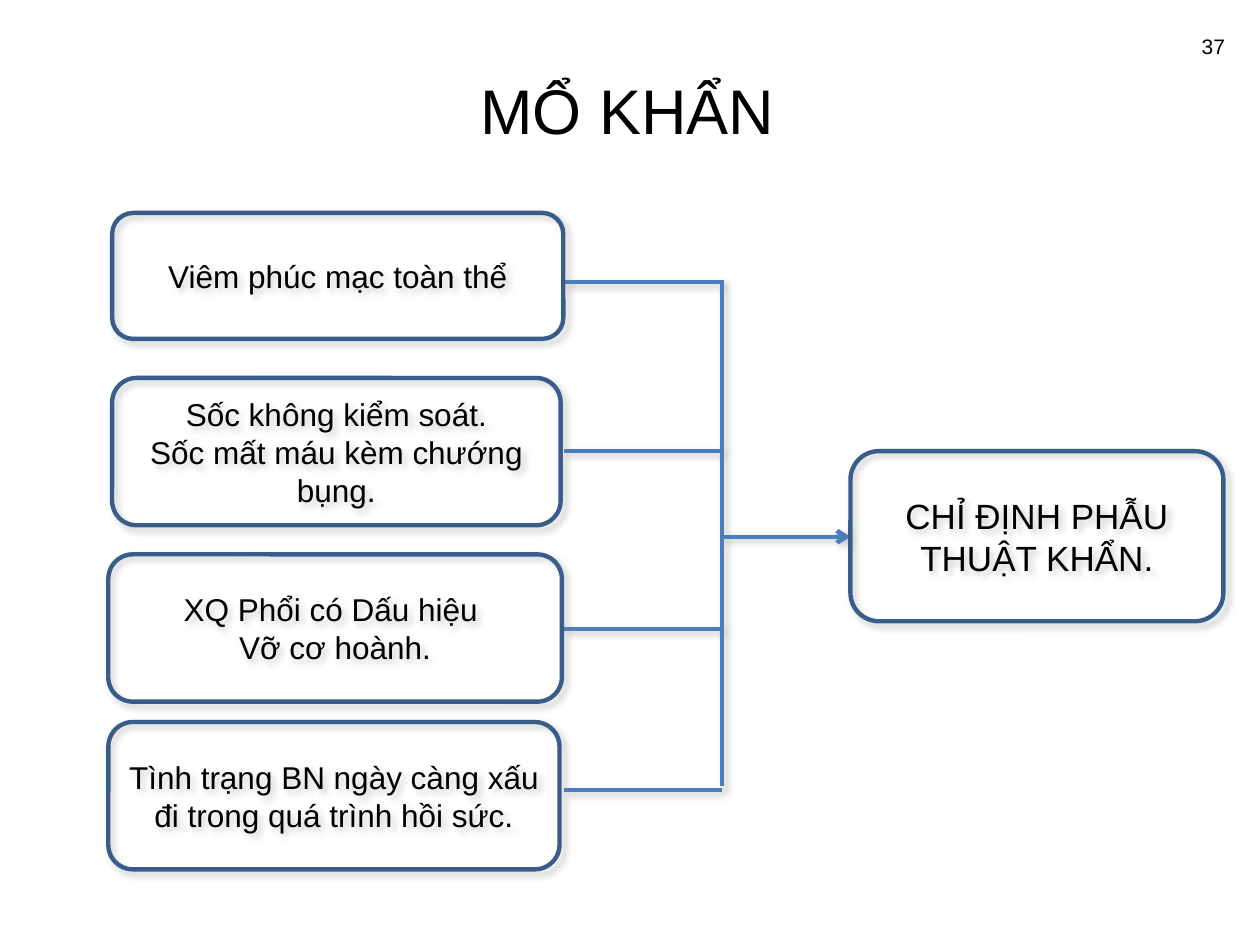
from typing import NamedTuple
from lxml import etree
from pptx import Presentation
from pptx import util as u
from pptx.dml.color import RGBColor
from pptx.enum import shapes, text
from pptx.oxml import ns

HUES = {"ink": "000000", "edge": "385D8A", "link": "4A7EBB", "shade": "808080"}
FONT = "Arial"
STROKE = 2.5


class Box(NamedTuple):
    x: float
    y: float
    w: float
    h: float
    words: str
    size: float = 18


class Link(NamedTuple):
    x1: float
    y1: float
    x2: float
    y2: float
    arrow: bool = False


# Causes on the left, decision on the right; "\v" is a line break
CAUSES = [
    Box(64.1, 121.7, 257.8, 72, "Viêm phúc mạc toàn thể"),
    Box(64.1, 216, 256.3, 84.2,
        "Sốc không kiểm soát.\nSốc mất máu kèm chướng bụng."),
    Box(61.9, 316.8, 259.2, 84.2, "XQ Phổi có Dấu hiệu \vVỡ cơ hoành."),
    Box(61.9, 412.6, 257.8, 84.2,
        "Tình trạng BN ngày càng xấu đi trong quá trình hồi sức."),
]
GOAL = Box(486, 257.8, 213.1, 97.2, "CHỈ ĐỊNH PHẪU THUẬT KHẨN.", 20)

# Branches meet at one trunk, which points to the decision
START, TRUNK = 322.4, 412.6
LINKS = [Link(START, y, TRUNK, y) for y in (161.3, 257.8, 359.3, 451.4)]
LINKS += [Link(TRUNK, 159.8, TRUNK, 449.3),
          Link(TRUNK, 306.7, GOAL.x, 306.7, arrow=True)]


def tint(name: str) -> RGBColor:
    return RGBColor.from_string(HUES[name])


def place(item, x: float, y: float, w: float, h: float) -> None:
    item.left, item.top = u.Pt(x), u.Pt(y)
    item.width, item.height = u.Pt(w), u.Pt(h)


def write(item, words: str, *, size: float, align=text.PP_ALIGN.CENTER) -> None:
    frame = item.text_frame
    frame.text = words
    frame.word_wrap = True
    frame.vertical_anchor = text.MSO_ANCHOR.MIDDLE
    for para in frame.paragraphs:
        para.alignment = align
        for run in para.runs:
            run.font.name, run.font.size = FONT, u.Pt(size)
            run.font.color.rgb = tint("ink")


def outline(item, hue: str) -> None:
    """Set the stroke and the soft shadow of a box or link."""
    item.line.color.rgb = tint(hue)
    item.line.width = u.Pt(STROKE)
    fx = etree.SubElement(item._element.spPr, ns.qn("a:effectLst"))
    shade = etree.SubElement(
        fx, ns.qn("a:outerShdw"), blurRad=str(u.Pt(4)), dist=str(u.Pt(3)),
        dir=str(45 * 60000), algn="tl", rotWithShape="0")
    color = etree.SubElement(shade, ns.qn("a:srgbClr"), val=HUES["shade"])
    etree.SubElement(color, ns.qn("a:alpha"), val="40000")


def draw_box(slide, box: Box) -> None:
    item = slide.shapes.add_shape(
        shapes.MSO_SHAPE.ROUNDED_RECTANGLE, *map(u.Pt, box[:4]))
    item.adjustments[0] = 0.167
    item.fill.background()
    outline(item, "edge")
    write(item, box.words, size=box.size)


def draw_link(slide, link: Link) -> None:
    item = slide.shapes.add_connector(
        shapes.MSO_CONNECTOR.STRAIGHT, *map(u.Pt, link[:4]))
    outline(item, "link")
    if link.arrow:
        stroke = item._element.spPr.find(ns.qn("a:ln"))
        etree.SubElement(stroke, ns.qn("a:tailEnd"), type="arrow")


def main() -> None:
    deck = Presentation()
    deck.slide_width, deck.slide_height = u.Pt(720), u.Pt(540)
    slide = deck.slides.add_slide(deck.slide_layouts[5])

    # Title and page number
    title = slide.shapes.title
    place(title, 34.6, 20.2, 648, 84.2)
    write(title, "MỔ KHẨN", size=36)
    page = slide.shapes.add_textbox(*map(u.Pt, (647.3, 12.2, 59.8, 28.8)))
    write(page, "37", size=12, align=text.PP_ALIGN.RIGHT)

    # Diagram
    for link in LINKS:
        draw_link(slide, link)
    for box in [*CAUSES, GOAL]:
        draw_box(slide, box)
    deck.save("out.pptx")


if __name__ == "__main__":
    main()
